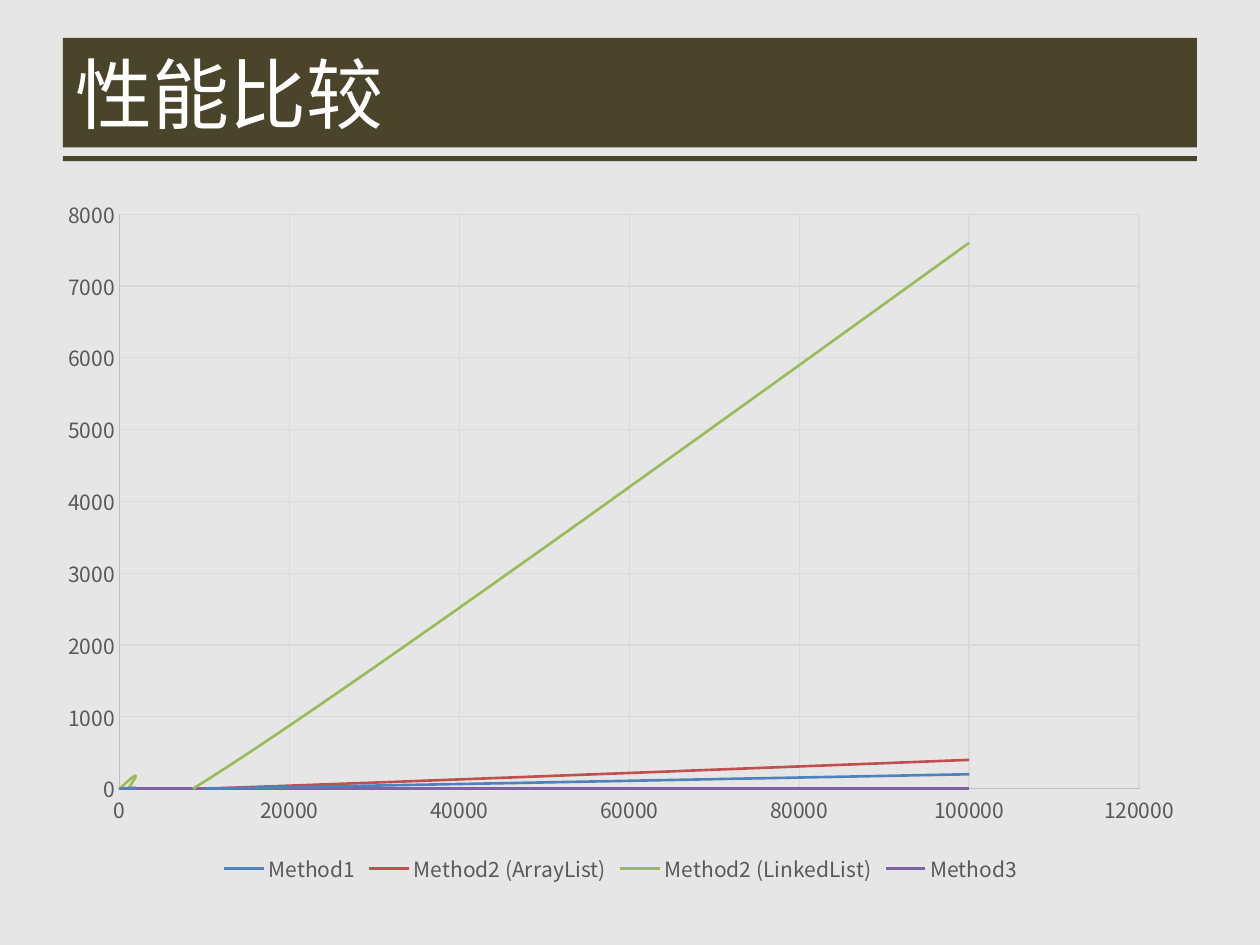
from pptx import Presentation
from pptx.chart.data import XyChartData
from pptx.dml.color import RGBColor
from pptx.enum.chart import XL_CHART_TYPE as Kind, XL_LEGEND_POSITION as Side, XL_TICK_MARK as Tick
from pptx.enum.shapes import MSO_SHAPE as Shape
from pptx.enum.text import MSO_ANCHOR as Anchor, PP_ALIGN as Align
from pptx.oxml import parse_xml
from pptx.oxml.ns import nsdecls, qn
from pptx.util import Inches, Pt

FONT = "Noto Sans CJK SC"
OLIVE, GREY = "4A452A", "595959"
SIZES = [0, 0, 1000, 10000, 100000]
TIMES = [
    ("Method1", "4F81BD", [0, 0, 0, 0, 200]),
    ("Method2 (ArrayList)", "C0504D", [0, 0, 0, 0, 400]),
    ("Method2 (LinkedList)", "9BBB59", [0, 0, 0, 100, 7600]),
    ("Method3", "8064A2", [0, 0, 0, 0, 0]),
]


def color(code):
    return RGBColor.from_string(code)


def style(font, size, code):
    font.name, font.size, font.bold = FONT, Pt(size), False
    font.color.rgb = color(code)


def stroke(line, code, width):
    line.color.rgb = color(code)
    line.width = Pt(width)


def add_bar(slide, left, top, width, height):
    bar = slide.shapes.add_shape(
        Shape.RECTANGLE, Inches(left), Inches(top), Inches(width), Inches(height))
    bar.shadow.inherit = False
    bar.fill.solid()
    bar.fill.fore_color.rgb = color(OLIVE)
    bar.line.fill.background()
    return bar


def add_title(slide, left, top, width, text):
    # Title band with a thin rule below it
    band = add_bar(slide, left, top, width, 0.87)
    add_bar(slide, left, top + 0.94, width, 0.04)
    frame = band.text_frame
    frame.word_wrap = True
    frame.vertical_anchor = Anchor.MIDDLE
    para = frame.paragraphs[0]
    para.alignment = Align.LEFT
    run = para.add_run()
    run.text = text
    style(run.font, 44, "FFFFFF")
    face = run.font._element.makeelement(qn("a:ea"), {"typeface": FONT})
    run.font._element.append(face)


def set_axis(axis, top, step):
    axis.minimum_scale, axis.maximum_scale, axis.major_unit = 0, top, step
    axis.major_tick_mark = axis.minor_tick_mark = Tick.NONE
    axis.has_major_gridlines = True
    stroke(axis.major_gridlines.format.line, "D9D9D9", 0.75)
    stroke(axis.format.line, "BFBFBF", 0.75)
    style(axis.tick_labels.font, 12, GREY)
    axis.tick_labels.number_format = "General"
    axis.tick_labels.number_format_is_linked = False


def set_plot(chart, left, top, width, height):
    # Inner plot area, as fractions of the chart box
    area = chart._chartSpace.chart.plotArea
    for old in area.findall(qn("c:layout")):
        area.remove(old)
    area.insert(0, parse_xml(
        f'<c:layout {nsdecls("c")}><c:manualLayout><c:layoutTarget val="inner"/>'
        '<c:xMode val="edge"/><c:yMode val="edge"/>'
        f'<c:x val="{left}"/><c:y val="{top}"/><c:w val="{width}"/><c:h val="{height}"/>'
        '</c:manualLayout></c:layout>'))


def add_graph(slide, left, top, width, height):
    data = XyChartData()
    for name, _, times in TIMES:
        series = data.add_series(name)
        for size, time in zip(SIZES, times):
            series.add_data_point(size, time)
    chart = slide.shapes.add_chart(
        Kind.XY_SCATTER_SMOOTH_NO_MARKERS, Inches(left), Inches(top),
        Inches(width), Inches(height), data).chart
    chart.has_title = False
    style(chart.font, 10, "000000")
    chart.plots[0].vary_by_categories = False

    # Curves
    for series, (_, code, _) in zip(chart.plots[0].series, TIMES):
        stroke(series.format.line, code, 1.5)
        series._element.get_or_add_smooth().val = True

    # Axes and legend
    set_axis(chart.category_axis, 120000, 20000)
    set_axis(chart.value_axis, 8000, 1000)
    set_plot(chart, 0.6 / width, 0.23 / height, 8.09 / width, 4.56 / height)
    chart.has_legend = True
    chart.legend.position = Side.BOTTOM
    chart.legend.include_in_layout = False
    style(chart.legend.font, 12, GREY)


def main():
    deck = Presentation()
    deck.slide_width, deck.slide_height = Inches(10), Inches(7.5)
    slide = deck.slides.add_slide(deck.slide_layouts[6])
    slide.background.fill.solid()
    slide.background.fill.fore_color.rgb = color("E7E6E6")
    add_title(slide, 0.5, 0.3, 9, "性能比较")
    add_graph(slide, 0.35, 1.47, 9.15, 5.59)
    deck.save("out.pptx")


if __name__ == "__main__":
    main()
